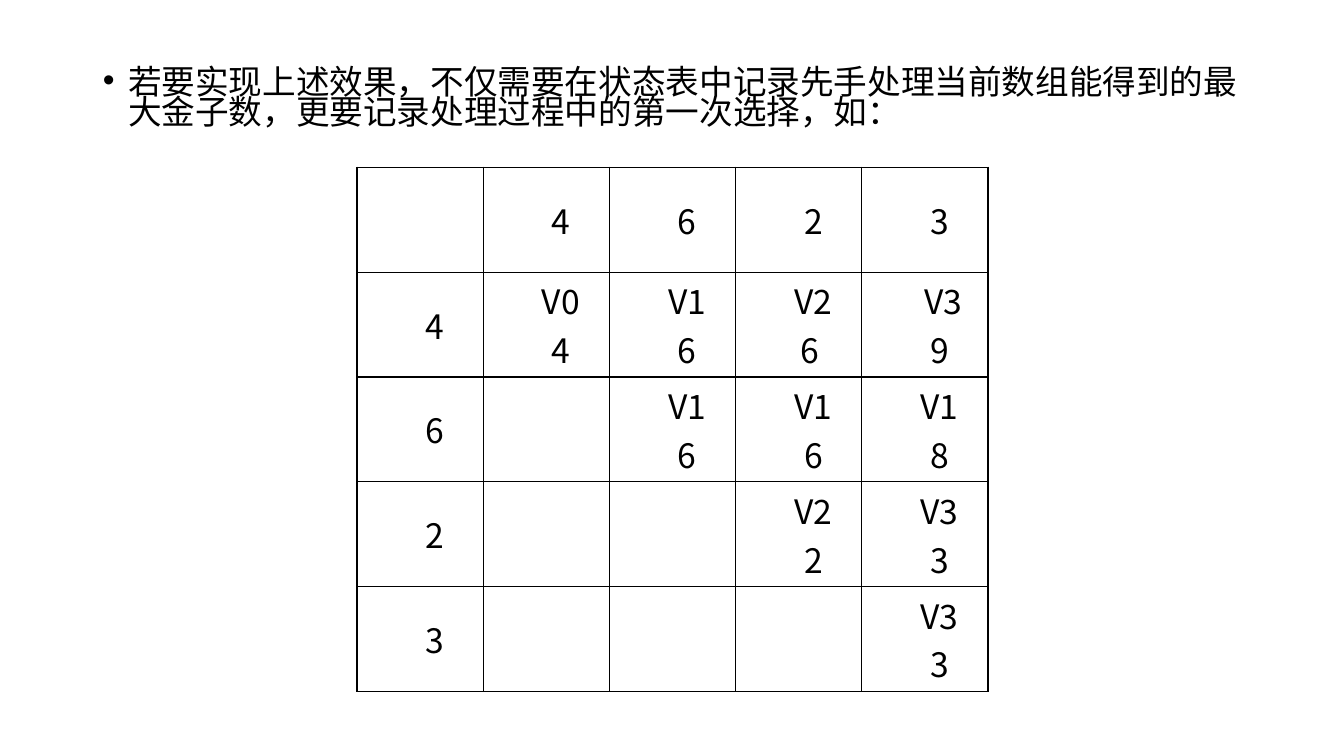
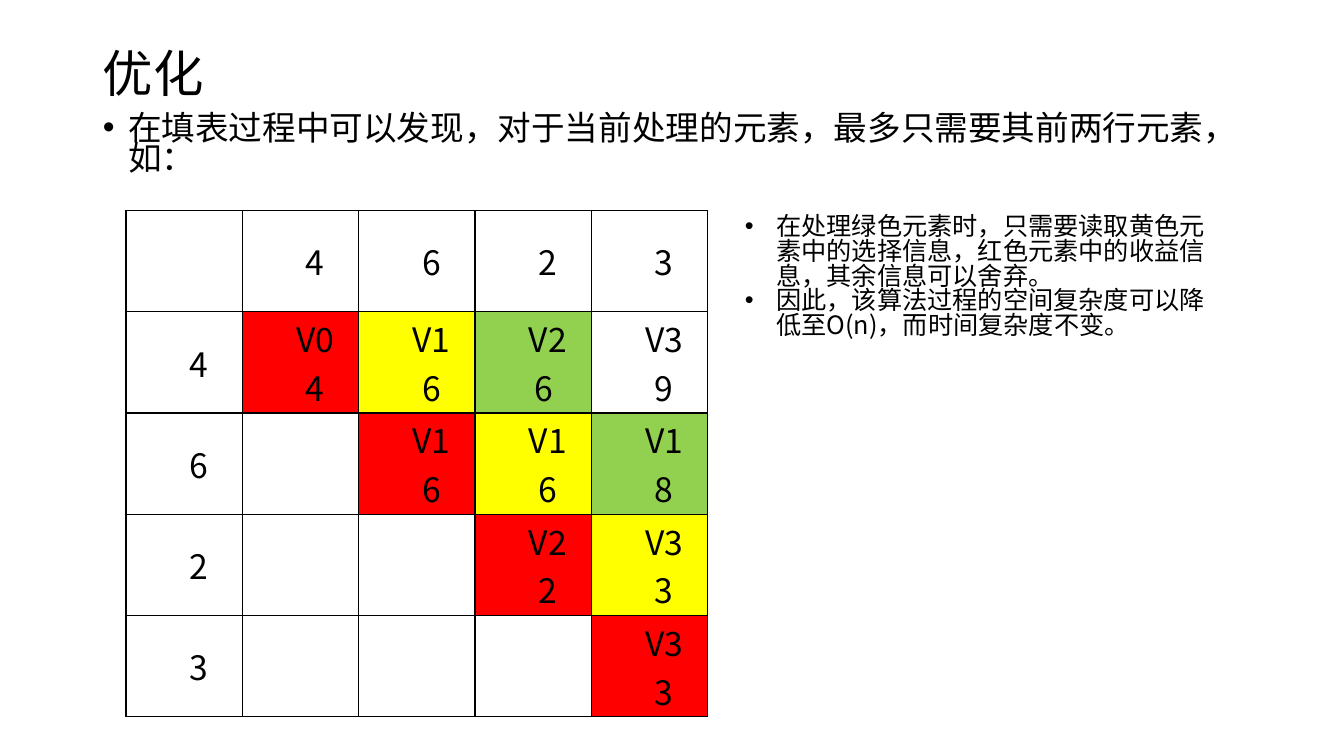
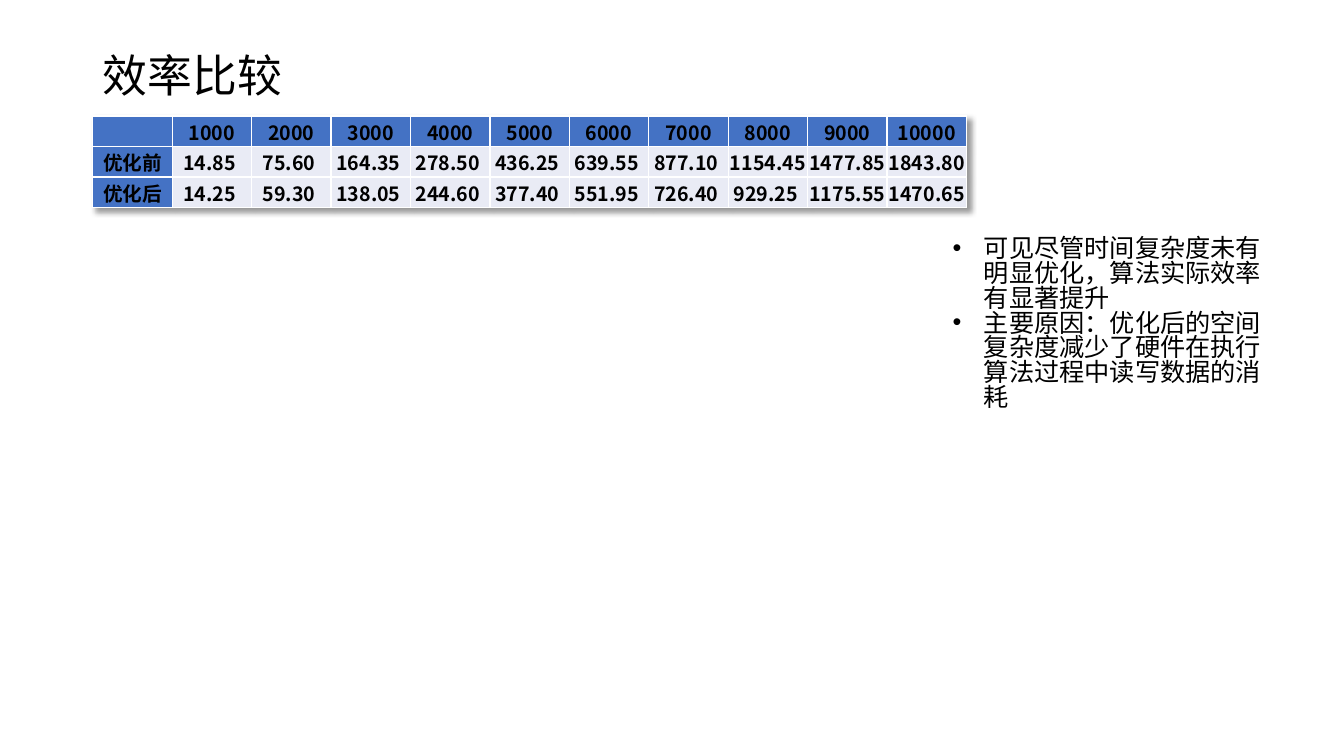
from lxml import etree
from pptx import Presentation
from pptx.dml.color import RGBColor
from pptx.enum.text import MSO_ANCHOR as Anchor, MSO_AUTO_SIZE as AutoSize, PP_ALIGN as Align
from pptx.oxml import parse_xml
from pptx.oxml.ns import nsdecls, qn
from pptx.util import Inches, Pt

FONT = "Noto Sans CJK SC"
COLORS = {
    "text": "000000",
    "plain": "FFFFFF",
    "profit": "FF0000",
    "choice": "FFFF00",
    "current": "92D050",
    "header": "4472C4",
    "data": "E9EBF5",
}
DIAGONALS = ["profit", "choice", "current"]
GOLD = ["4", "6", "2", "3"]
STATES = [
    ["V0\n4", "V1\n6", "V2\n6 ", "V3\n9"],
    ["", "V1\n6", "V1\n6", "V1\n8"],
    ["", "", "V2\n2", "V3\n3"],
    ["", "", "", "V3\n3"],
]
TIMES = {
    "优化前": [14.85, 75.6, 164.35, 278.5, 436.25, 639.55, 877.1, 1154.45, 1477.85, 1843.8],
    "优化后": [14.25, 59.3, 138.05, 244.6, 377.4, 551.95, 726.4, 929.25, 1175.55, 1470.65],
}


def write_text(frame, text, size, bold=False, align=Align.LEFT, spacing=1, margin=0, indent=0, bullet=False):
    frame.word_wrap = True
    for number, line in enumerate(text.split("\n")):
        paragraph = frame.add_paragraph() if number else frame.paragraphs[0]
        properties = paragraph._p.get_or_add_pPr()
        properties.set("marL", str(Inches(margin)))
        properties.set("indent", str(Inches(indent)))
        if bullet:
            etree.SubElement(properties, qn("a:buFont"), typeface="Arial")
            etree.SubElement(properties, qn("a:buChar"), char="•")
        paragraph.alignment = align
        paragraph.line_spacing = spacing
        paragraph.space_before = Pt(0)
        run = paragraph.add_run()
        run.text = line
        run.font.size = Pt(size)
        run.font.bold = bold
        run.font.name = FONT
        run.font.color.rgb = RGBColor.from_string(COLORS["text"])
        etree.SubElement(run._r.get_or_add_rPr(), qn("a:ea"), typeface=FONT)


def place(shape, left, top, width, height):
    shape.left, shape.top = Inches(left), Inches(top)
    shape.width, shape.height = Inches(width), Inches(height)


def add_title(slide, text, size, height):
    title = slide.shapes.title
    place(title, 0.92, 0.4, 11.5, height)
    title.text_frame.auto_size = AutoSize.NONE
    title.text_frame.vertical_anchor = Anchor.MIDDLE
    write_text(title.text_frame, text, size, spacing=0.9)


def add_lead(slide, text, top, height):
    lead = slide.placeholders[1]
    place(lead, 0.92, top, 11.5, height)
    lead.text_frame.auto_size = AutoSize.NONE
    write_text(lead.text_frame, text, 24, spacing=0.74, margin=0.25, indent=-0.25, bullet=True)


def add_notes(slide, text, left, top, width, height):
    notes = slide.shapes.add_textbox(Inches(left), Inches(top), Inches(width), Inches(height))
    write_text(notes.text_frame, text, 18, spacing=0.82, margin=0.31, indent=-0.31, bullet=True)


def set_borders(cell, color):
    properties = cell._tc.get_or_add_tcPr()
    for position, side in enumerate(["lnL", "lnR", "lnT", "lnB"]):
        properties.insert(position, parse_xml(
            f'<a:{side} {nsdecls("a")} w="{Pt(1)}"><a:solidFill>'
            f'<a:srgbClr val="{color}"/></a:solidFill></a:{side}>'))


def add_grid(slide, rows, fill_at, box, border, margins, **text_format):
    left, top, width, height = box
    table = slide.shapes.add_table(len(rows), len(rows[0]), *map(Inches, box)).table
    table.first_row = table.horz_banding = False
    for column in table.columns:
        column.width = Inches(width / len(rows[0]))
    for row in table.rows:
        row.height = Inches(height / len(rows))
    for i, row in enumerate(rows):
        for j, text in enumerate(row):
            cell = table.cell(i, j)
            cell.margin_left = cell.margin_right = Inches(margins[0])
            cell.margin_top, cell.margin_bottom = Inches(margins[1]), 0
            cell.vertical_anchor = Anchor.MIDDLE
            cell.fill.solid()
            cell.fill.fore_color.rgb = RGBColor.from_string(COLORS[fill_at(i, j)])
            set_borders(cell, COLORS[border])
            write_text(cell.text_frame, text, align=Align.CENTER, **text_format)
    return table


def add_state_table(slide, states, fill_at, box):
    rows = [["", *GOLD]] + [[gold, *row] for gold, row in zip(GOLD, states)]
    add_grid(slide, rows, fill_at, box, "text", (0.07, 0), size=24, indent=0.29)


def plain_fill(i, j):
    return "plain"


def diagonal_fill(i, j):
    return DIAGONALS[j - i] if i and 0 <= j - i < len(DIAGONALS) else "plain"


def timing_fill(i, j):
    return "data" if i and j else "header"


def add_shadow(table):
    table._tbl.tblPr.insert(0, parse_xml(
        f'<a:effectLst {nsdecls("a")}><a:outerShdw blurRad="{Pt(4)}" dist="{Pt(3)}" '
        'dir="2700000" algn="tl" rotWithShape="0"><a:srgbClr val="000000">'
        '<a:alpha val="40000"/></a:srgbClr></a:outerShdw></a:effectLst>'))


def build_choice_slide(deck):
    slide = deck.slides.add_slide(deck.slide_layouts[1])
    title = slide.shapes.title._element
    title.getparent().remove(title)
    add_lead(slide, "若要实现上述效果，不仅需要在状态表中记录先手处理当前数组能得到的最大金子数，更要记录处理过程中的第一次选择，如：", 0.65, 6.11)
    states = [[*STATES[0][:3], " V3\n9"], *STATES[1:]]
    add_state_table(slide, states, plain_fill, (3.54, 1.66, 6.26, 5.2))


def build_optimization_slide(deck):
    slide = deck.slides.add_slide(deck.slide_layouts[1])
    add_title(slide, "优化", 36, 0.71)
    add_lead(slide, "在填表过程中可以发现，对于当前处理的元素，最多只需要其前两行元素，如：", 1.11, 5.64)
    add_state_table(slide, STATES, diagonal_fill, (1.25, 2.09, 5.77, 5.02))
    add_notes(slide, "在处理绿色元素时，只需要读取黄色元素中的选择信息，红色元素中的收益信息，其余信息可以舍弃。\n"
              "因此，该算法过程的空间复杂度可以降低至O(n)，而时间复杂度不变。", 7.29, 2.09, 4.79, 1.62)


def build_efficiency_slide(deck):
    slide = deck.slides.add_slide(deck.slide_layouts[5])
    add_title(slide, "效率比较", 32, 0.75)
    rows = [["", *(str(count) for count in range(1000, 10001, 1000))]]
    rows += [[stage, *(f"{time:.2f} " for time in times)] for stage, times in TIMES.items()]
    timing = add_grid(slide, rows, timing_fill, (0.92, 1.15, 8.67, 0.91), "plain", (0.01, 0.01), size=14, bold=True)
    add_shadow(timing)
    add_notes(slide, "可见尽管时间复杂度未有明显优化，算法实际效率有显著提升\n"
              "主要原因：优化后的空间复杂度减少了硬件在执行算法过程中读写数据的消耗", 9.35, 2.31, 3.33, 2.22)


def main():
    deck = Presentation()
    deck.slide_width, deck.slide_height = Inches(13.33), Inches(7.5)
    build_choice_slide(deck)
    build_optimization_slide(deck)
    build_efficiency_slide(deck)
    deck.save("out.pptx")


if __name__ == "__main__":
    main()
